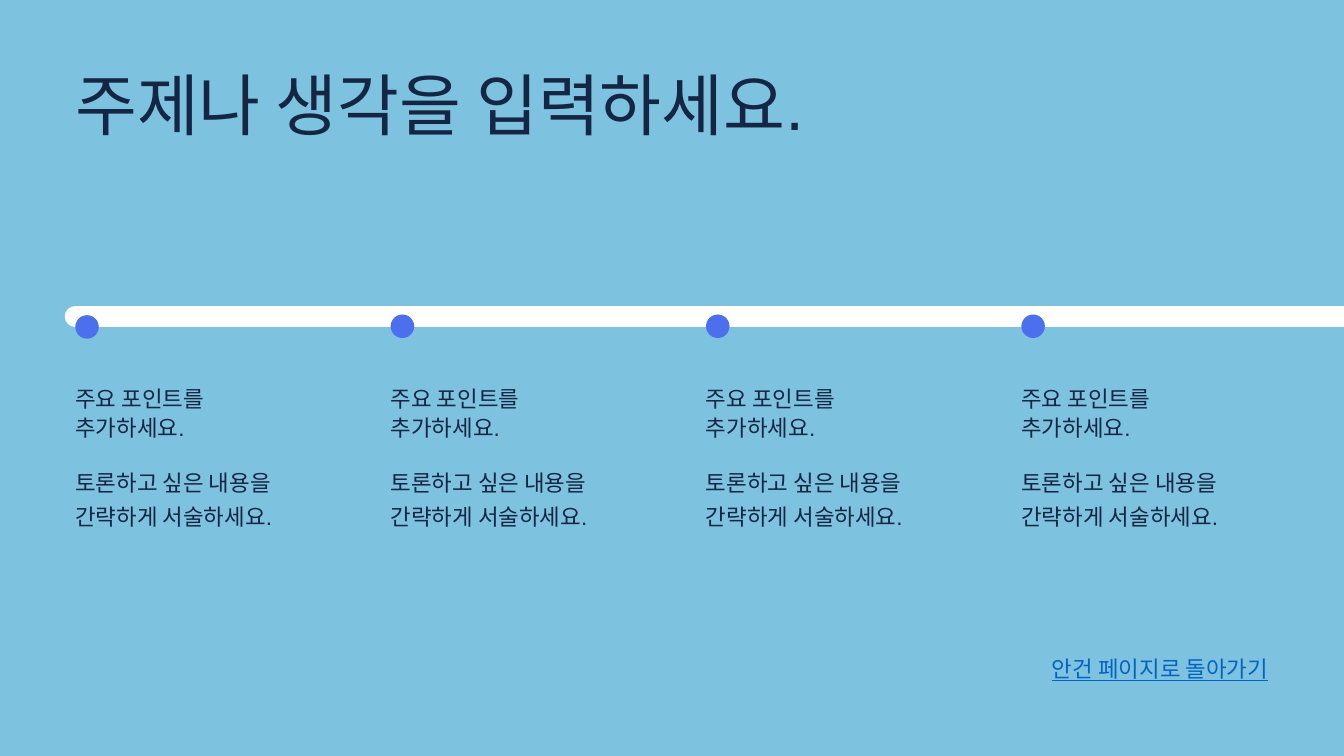
"""Build a four-step timeline slide with a title and a return label."""
from lxml import etree
from pptx import Presentation
from pptx.dml.color import RGBColor
from pptx.enum.shapes import MSO_CONNECTOR as Connector, MSO_SHAPE as Shape
from pptx.enum.text import MSO_ANCHOR as Anchor, MSO_AUTO_SIZE as AutoSize, PP_ALIGN as Align
from pptx.oxml.ns import qn
from pptx.util import Inches, Pt

NAVY = "152544"
LEFT = 1.12
STEP = 4.693


def paint(color_format, color):
    color_format.rgb = RGBColor.from_string(color)


def write(shape, text, size, spacing, color=NAVY, align=Align.LEFT):
    frame = shape.text_frame
    frame.margin_left = frame.margin_top = frame.margin_right = frame.margin_bottom = 0
    frame.word_wrap = True
    frame.auto_size = AutoSize.SHAPE_TO_FIT_TEXT
    frame.vertical_anchor = Anchor.TOP
    frame.text = text
    for paragraph in frame.paragraphs:
        paragraph.alignment = align
        paragraph.line_spacing = Pt(spacing)
        for run in paragraph.runs:
            run.font.name = "Arial"
            run.font.size = Pt(size)
            paint(run.font.color, color)


presentation = Presentation()
presentation.slide_width = Inches(20)
presentation.slide_height = Inches(11.25)
slide = presentation.slides.add_slide(presentation.slide_layouts[5])
slide.background.fill.solid()
paint(slide.background.fill.fore_color, "7DC2DF")

title = slide.shapes.title
title.left, title.top = Inches(LEFT), Inches(0.94)
title.width, title.height = Inches(14.26), Inches(1.21)
write(title, "주제나 생각을 입력하세요.", 72, 86.4)

timeline = slide.shapes.add_connector(
    Connector.STRAIGHT, Inches(LEFT), Inches(4.71), Inches(22.01), Inches(4.71))
timeline.line.width = Pt(22.5)
paint(timeline.line.color, "FFFFFF")
timeline_properties = timeline._element.spPr
timeline_properties.find(qn("a:ln")).set("cap", "rnd")
etree.SubElement(timeline_properties, qn("a:effectLst"))

for index in range(4):
    left = Inches(LEFT + index * STEP)
    dot_top = 4.69 if index == 0 else 4.68
    dot = slide.shapes.add_shape(Shape.OVAL, left, Inches(dot_top), Inches(0.35), Inches(0.35))
    dot.shadow.inherit = False
    dot.fill.solid()
    paint(dot.fill.fore_color, "4B6FED")
    dot.line.fill.background()

    heading = slide.shapes.add_textbox(left, Inches(5.69), Inches(3.39), Inches(0.86))
    write(heading, "주요 포인트를\n추가하세요.", 24, 31.2)
    description = slide.shapes.add_textbox(left, Inches(6.88), Inches(3.39), Inches(0.98))
    write(description, "토론하고 싶은 내용을\n간략하게 서술하세요.", 24, 36)

return_label = slide.shapes.add_textbox(Inches(13.63), Inches(9.68), Inches(5.24), Inches(0.45))
write(return_label, "안건 페이지로 돌아가기", 24, 33.6, "0563C1", Align.RIGHT)
return_label.text_frame.paragraphs[0].runs[0].font.underline = True

presentation.save("out.pptx")
